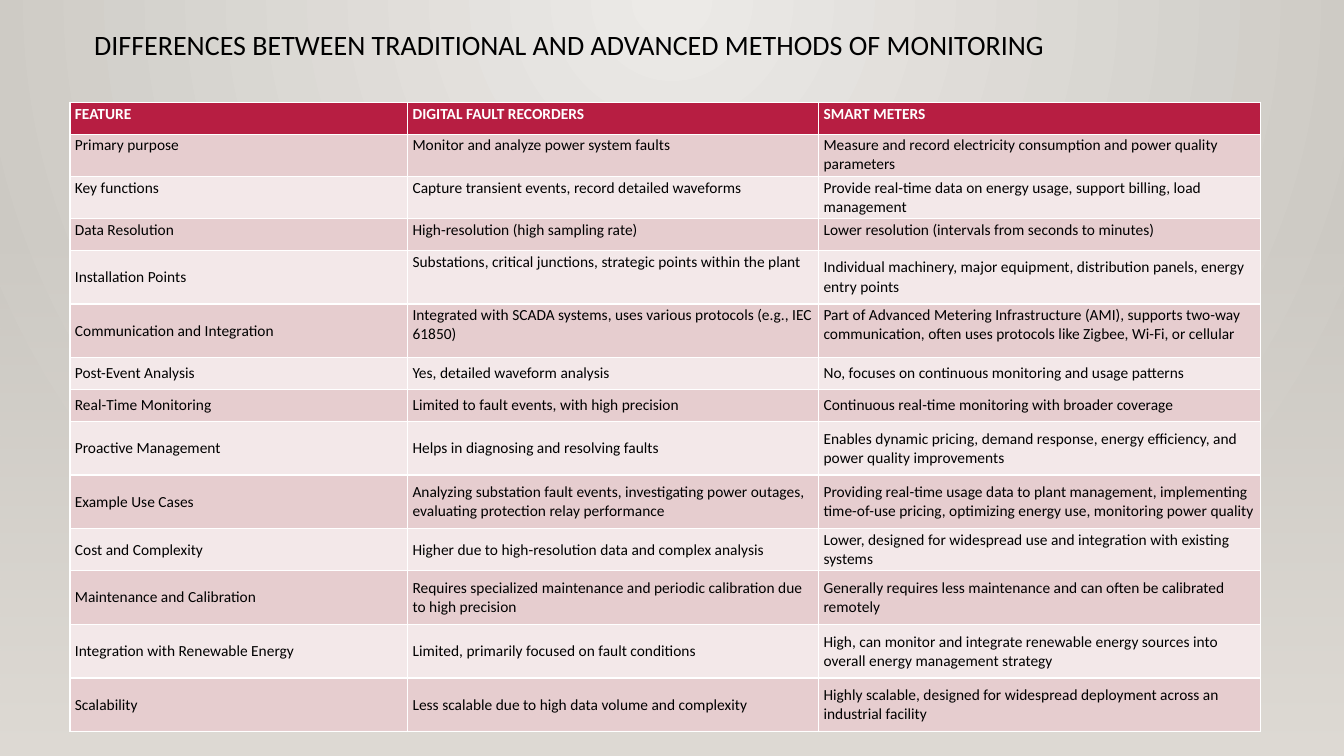
from lxml import etree
from pptx import Presentation
from pptx.dml.color import RGBColor
from pptx.enum import shapes, text
from pptx.oxml.ns import qn
from pptx.util import Pt

TITLE = "DIFFERENCES BETWEEN TRADITIONAL AND ADVANCED METHODS OF MONITORING"
HEADER = ("FEATURE", "DIGITAL FAULT RECORDERS", "SMART METERS")
FEATURES = [
    ("Primary purpose", "Monitor and analyze power system faults",
     "Measure and record electricity consumption and power quality parameters"),
    ("Key functions", "Capture transient events, record detailed waveforms",
     "Provide real-time data on energy usage, support billing, load management"),
    ("Data Resolution", "High-resolution (high sampling rate)",
     "Lower resolution (intervals from seconds to minutes)"),
    ("Installation Points", "Substations, critical junctions, strategic points within the plant",
     "Individual machinery, major equipment, distribution panels, energy entry points"),
    ("Communication and Integration",
     "Integrated with SCADA systems, uses various protocols (e.g., IEC 61850)",
     "Part of Advanced Metering Infrastructure (AMI), supports two-way communication, "
     "often uses protocols like Zigbee, Wi-Fi, or cellular"),
    ("Post-Event Analysis", "Yes, detailed waveform analysis",
     "No, focuses on continuous monitoring and usage patterns"),
    ("Real-Time Monitoring", "Limited to fault events, with high precision",
     "Continuous real-time monitoring with broader coverage"),
    ("Proactive Management", "Helps in diagnosing and resolving faults",
     "Enables dynamic pricing, demand response, energy efficiency, and power quality improvements"),
    ("Example Use Cases",
     "Analyzing substation fault events, investigating power outages, "
     "evaluating protection relay performance",
     "Providing real-time usage data to plant management, implementing time-of-use pricing, "
     "optimizing energy use, monitoring power quality"),
    ("Cost and Complexity", "Higher due to high-resolution data and complex analysis",
     "Lower, designed for widespread use and integration with existing systems"),
    ("Maintenance and Calibration",
     "Requires specialized maintenance and periodic calibration due to high precision",
     "Generally requires less maintenance and can often be calibrated remotely"),
    ("Integration with Renewable Energy", "Limited, primarily focused on fault conditions",
     "High, can monitor and integrate renewable energy sources into overall energy "
     "management strategy"),
    ("Scalability", "Less scalable due to high data volume and complexity",
     "Highly scalable, designed for widespread deployment across an industrial facility"),
]
THEME = {
    "font": "Calibri", "title_size": 20, "cell_size": 11,
    "text": "000000", "header_text": "FFFFFF", "header": "B71E42",
    "bands": ("E6CDCF", "F3E8E9"),
    "glow": "ECEAE7", "edge": "CAC7C1", "floor": "DFDBD5",
}
SLIDE_W, SLIDE_H = 960, 540
FLOOR_TOP = 159
TABLE_LEFT, TABLE_TOP = 50, 73
COL_WIDTHS = (241.2, 293.6, 315.5)
SHORT, TALL = 22.8, 38.3
TALL_ROWS = {4, 5, 8, 9, 11, 12, 13}
FIRST_MIDDLE_ROW = 4
TOP_CELLS = {(4, 1), (5, 1), (5, 2)}


def apply(target, **values):
    for name, value in values.items():
        setattr(target, name, value)


def style_font(font, size, color, bold=False):
    apply(font, name=THEME["font"], size=Pt(size), bold=bold)
    font.color.rgb = RGBColor.from_string(color)


def set_gradient(fill, owner, stops, direction):
    """Give fill two (colour, alpha) stops and a direction element in XML."""
    fill.gradient()
    grad = next(owner.iter(qn("a:gradFill")))
    for child in list(grad):
        grad.remove(child)
    gs_lst = etree.SubElement(grad, qn("a:gsLst"))
    for pos, (color, alpha) in zip((0, 100000), stops):
        gs = etree.SubElement(gs_lst, qn("a:gs"), pos=str(pos))
        clr = etree.SubElement(gs, qn("a:srgbClr"), val=color)
        if alpha < 100:
            etree.SubElement(clr, qn("a:alpha"), val=str(alpha * 1000))
    grad.append(direction)


def add_backdrop(s):
    glow = etree.Element(qn("a:path"), path="circle")
    etree.SubElement(glow, qn("a:fillToRect"), l="43000", t="0", r="43000", b="100000")
    set_gradient(s.background.fill, s._element,
                 ((THEME["glow"], 100), (THEME["edge"], 100)), glow)
    sp = s.shapes.add_shape(shapes.MSO_SHAPE.RECTANGLE, 0, Pt(FLOOR_TOP),
                            Pt(SLIDE_W), Pt(SLIDE_H - FLOOR_TOP))
    sp.shadow.inherit = False
    sp.line.fill.background()
    down = etree.Element(qn("a:lin"), ang="5400000", scaled="0")
    set_gradient(sp.fill, sp._element,
                 ((THEME["floor"], 0), (THEME["floor"], 100)), down)


def add_title(s):
    sp = s.shapes.title
    apply(sp, left=Pt(60), top=Pt(18.7), width=Pt(810.7), height=Pt(82.8))
    tf = sp.text_frame
    tf.text = TITLE
    apply(tf, word_wrap=True, auto_size=text.MSO_AUTO_SIZE.NONE,
          vertical_anchor=text.MSO_ANCHOR.TOP)
    p = tf.paragraphs[0]
    apply(p, alignment=text.PP_ALIGN.LEFT, line_spacing=0.9)
    style_font(p.runs[0].font, THEME["title_size"], THEME["text"])


def add_comparison(s):
    rows = [HEADER, *FEATURES]
    heights = [TALL if i in TALL_ROWS else SHORT for i in range(len(rows))]
    tbl = s.shapes.add_table(len(rows), len(HEADER), Pt(TABLE_LEFT), Pt(TABLE_TOP),
                             Pt(sum(COL_WIDTHS)), Pt(sum(heights))).table
    for col, width in zip(tbl.columns, COL_WIDTHS):
        col.width = Pt(width)
    for i, (row, height) in enumerate(zip(rows, heights)):
        tbl.rows[i].height = Pt(height)
        is_header = i == 0
        fill = THEME["header"] if is_header else THEME["bands"][(i - 1) % 2]
        color = THEME["header_text"] if is_header else THEME["text"]
        for j, words in enumerate(row):
            cell = tbl.cell(i, j)
            middle = i >= FIRST_MIDDLE_ROW and (i, j) not in TOP_CELLS
            cell.text = words
            apply(cell, margin_left=Pt(3.5), margin_right=Pt(3.5),
                  margin_top=Pt(1.5), margin_bottom=Pt(1.5),
                  vertical_anchor=text.MSO_ANCHOR.MIDDLE if middle else text.MSO_ANCHOR.TOP)
            cell.fill.solid()
            cell.fill.fore_color.rgb = RGBColor.from_string(fill)
            style_font(cell.text_frame.paragraphs[0].runs[0].font,
                       THEME["cell_size"], color, is_header)


def main():
    prs = Presentation()
    apply(prs, slide_width=Pt(SLIDE_W), slide_height=Pt(SLIDE_H))
    s = prs.slides.add_slide(prs.slide_layouts[5])
    add_backdrop(s)
    add_title(s)
    add_comparison(s)
    prs.save("out.pptx")


if __name__ == "__main__":
    main()
